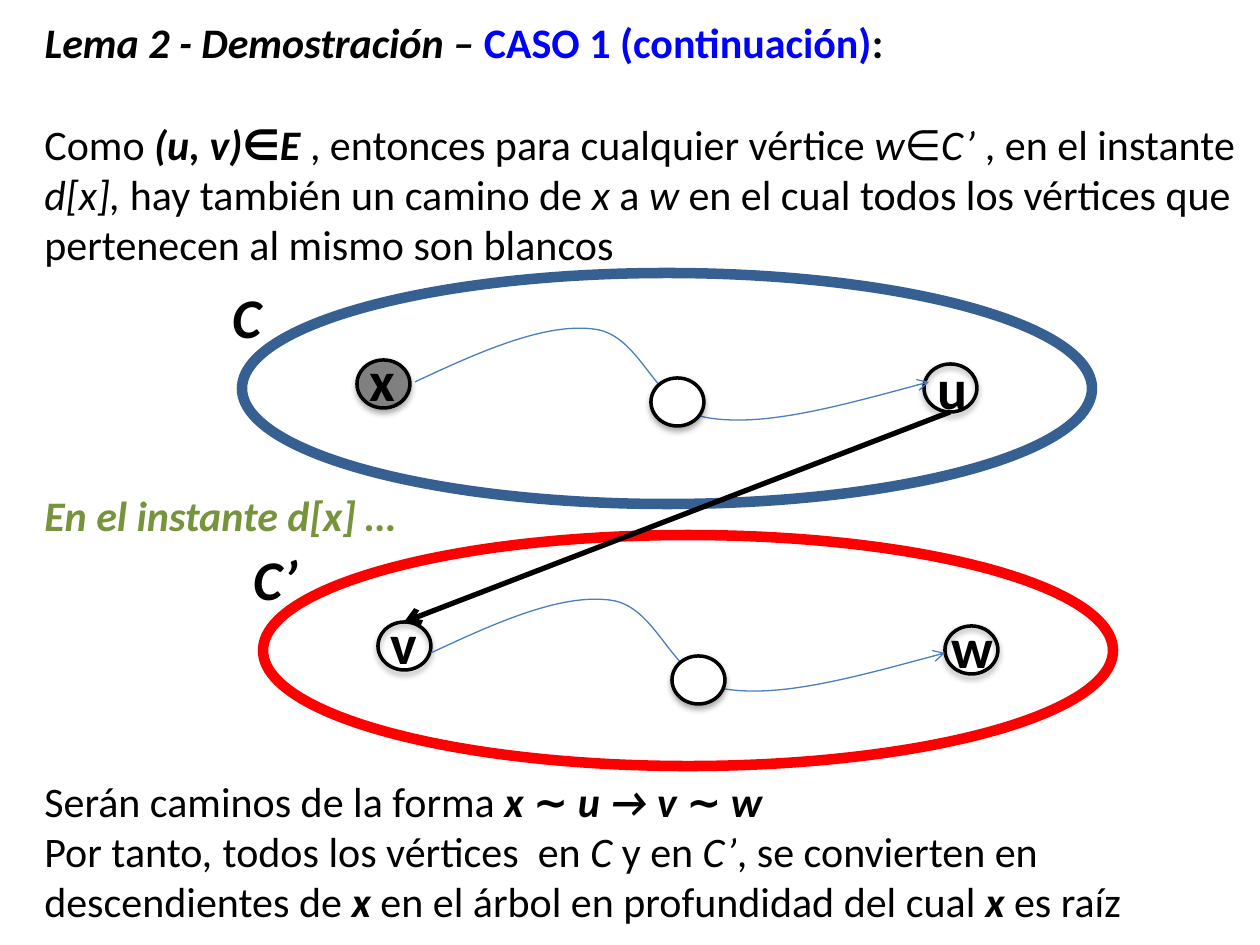
from lxml.etree import SubElement
from pptx import Presentation
from pptx.dml.color import RGBColor
from pptx.enum.shapes import MSO_CONNECTOR, MSO_SHAPE
from pptx.enum.text import MSO_ANCHOR, MSO_AUTO_SIZE, PP_ALIGN
from pptx.oxml.ns import qn
from pptx.util import Emu, Inches, Pt

SCALE = 914400 / 126
COLORS = {
    "black": "000000", "white": "FFFFFF", "gray": "808080", "case": "0000FF",
    "component": "376092", "successor": "FF0000", "moment": "77933C", "path": "4B7EBC",
}
NODE_SIZE = (53, 48)


def emu(pixels):
    """Turn pixels into EMU."""
    return Emu(round(pixels * SCALE))


def rgb(name):
    """Look up a palette colour."""
    return RGBColor.from_string(COLORS[name])


class SlideBuilder:
    """Holds the text style and the current slide."""

    font_name = "Calibri"

    def __init__(self, slide):
        self.slide = slide
        self.shapes = slide.shapes

    def fill_text(self, shape, paragraphs, size, auto_size):
        """Write paragraphs of (text, style letters, colour) runs."""
        frame = shape.text_frame
        settings = {"word_wrap": True, "auto_size": auto_size,
                    "vertical_anchor": MSO_ANCHOR.TOP}
        for name, value in settings.items():
            setattr(frame, name, value)
        for index, runs in enumerate(paragraphs):
            paragraph = frame.add_paragraph() if index else frame.paragraphs[0]
            paragraph.alignment = PP_ALIGN.LEFT
            for text, style, color in runs:
                run = paragraph.add_run()
                run.text = text
                font = {"name": self.font_name, "size": Pt(size),
                        "bold": "b" in style, "italic": "i" in style}
                for name, value in font.items():
                    setattr(run.font, name, value)
                run.font.color.rgb = rgb(color)

    def title(self, box, runs):
        """Place and fill the title placeholder."""
        shape = self.shapes.title
        for name, value in zip(("left", "top", "width", "height"), box):
            setattr(shape, name, emu(value))
        self.fill_text(shape, [runs], 24, MSO_AUTO_SIZE.NONE)

    def text(self, box, paragraphs, size=24):
        """Add a text box."""
        shape = self.shapes.add_textbox(*map(emu, box))
        self.fill_text(shape, paragraphs, size, MSO_AUTO_SIZE.SHAPE_TO_FIT_TEXT)

    def label(self, position, text, style="b"):
        """Add a large label."""
        self.text((*position, 102, 81), [[(text, style, "black")]], 32)

    def outline(self, shape, color, width, arrow=False):
        """Style a line, with an open arrowhead at its end if asked."""
        shape.line.color.rgb = rgb(color)
        shape.line.width = Pt(width)
        if arrow:
            line = shape._element.spPr.find(qn("a:ln"))
            SubElement(line, qn("a:tailEnd"), type="arrow")

    def ellipse(self, box, color, width, fill=None):
        """Add an ellipse without shadow."""
        shape = self.shapes.add_shape(MSO_SHAPE.OVAL, *map(emu, box))
        shape.shadow.inherit = False
        if fill:
            shape.fill.solid()
            shape.fill.fore_color.rgb = rgb(fill)
        else:
            shape.fill.background()
        self.outline(shape, color, width)
        return shape

    def node(self, position, fill=None):
        """Add a graph vertex with a soft shadow."""
        shape = self.ellipse((*position, *NODE_SIZE), "black", 2, fill)
        effects = shape._element.spPr.find(qn("a:effectLst"))
        shadow = SubElement(effects, qn("a:outerShdw"), blurRad=str(Pt(3.5)),
                            dist=str(Pt(2.2)), dir="5400000", rotWithShape="0")
        color = SubElement(shadow, qn("a:srgbClr"), val=COLORS["black"])
        SubElement(color, qn("a:alpha"), val="32000")

    def curve(self, start, segments):
        """Add an arrow made of cubic segments (control, control, end)."""
        ends = [segment[-1] for segment in segments]
        builder = self.shapes.build_freeform(*start, scale=SCALE)
        builder.add_line_segments(ends, close=False)
        shape = builder.convert_to_shape()
        left, top = (min(values) for values in zip(start, *ends))
        lines = list(shape._element.iter(qn("a:lnTo")))
        for line, segment in zip(lines, segments):
            line.tag = qn("a:cubicBezTo")
            line.remove(line[0])
            for x, y in segment:
                SubElement(line, qn("a:pt"), x=str(x - left), y=str(y - top))
        shape.shadow.inherit = False
        shape.fill.background()
        self.outline(shape, "path", 0.75, arrow=True)

    def arrow(self, start, end):
        """Add a thick straight arrow."""
        connector = self.shapes.add_connector(
            MSO_CONNECTOR.STRAIGHT, *map(emu, (*start, *end)))
        self.outline(connector, "black", 3, arrow=True)
        SubElement(connector._element.spPr, qn("a:effectLst"))


def plain(text):
    """Upright black run."""
    return text, "", "black"


def italic(text):
    """Italic black run."""
    return text, "i", "black"


def strong(text):
    """Bold italic black run."""
    return text, "bi", "black"


CURVE_START = (415, 382)
CURVE = [
    [(479, 352), (544, 323), (593, 329)],
    [(643, 334), (654, 410), (709, 418)],
    [(765, 427), (847, 404), (929, 382)],
]
# name, colour, offset, curve offset, middle node,
# then (label, label position, fill) of the first and last node
COMPONENTS = [
    ("C", "component", (0, 0), (0, 0), (651, 378),
     ("x", (357, 339), "gray"), ("u", (925, 347), None)),
    ("C’", "successor", (21, 262), (16, 271), (672, 656),
     ("v", (378, 602), None), ("w", (939, 606), None)),
]


def shift(point, offset):
    """Move a point by an offset."""
    return point[0] + offset[0], point[1] + offset[1]


def draw_component(builder, name, color, offset, curve_offset, middle, first, last):
    """Draw one component with its vertices and path."""
    builder.ellipse((*shift((242, 273), offset), 850, 231), color, 6)
    builder.label(shift((220, 276), offset), name, "bi")
    for position, (text, label_position, fill) in zip(((357, 360), (924, 364)), (first, last)):
        builder.node(shift(position, offset), fill)
        builder.label(label_position, text)
    builder.curve(shift(CURVE_START, curve_offset),
                  [[shift(point, curve_offset) for point in segment] for segment in CURVE])
    builder.node(middle, "white")


def main():
    """Build and save the slide."""
    presentation = Presentation()
    presentation.slide_width, presentation.slide_height = Inches(10), Inches(7.5)
    builder = SlideBuilder(presentation.slides.add_slide(presentation.slide_layouts[5]))

    builder.title((32, 10, 1218, 63), [
        strong("Lema 2 - Demostración – "), ("CASO 1 (continuación)", "b", "case"),
        (":", "b", "black")])
    builder.text((32, 112, 1218, 165), [[
        plain("Como "), strong("(u, v)∈E "), plain(", entonces para cualquier vértice "),
        italic("w∈C’ "), plain(", en el instante "), italic("d[x],"),
        plain(" hay también un camino de "), italic("x"), plain(" a "), italic("w"),
        plain(" en el cual todos los vértices que pertenecen al mismo son blancos")]])
    for component in COMPONENTS:
        draw_component(builder, *component)
    builder.arrow((950, 412), (404, 622))
    builder.text((32, 483, 725, 63), [[("En el instante d[x] …", "bi", "moment")]])
    builder.text((32, 769, 1197, 165), [
        [plain("Serán caminos de la forma "), strong("x ∼ u → v ∼ w")],
        [plain("Por tanto"), italic(", "), plain("todos los vértices  en "), italic("C "),
         plain("y en "), italic("C’"), plain(", se convierten en descendientes de "),
         strong("x"), plain(" en el árbol en profundidad del cual "), strong("x"),
         plain(" es raíz")]])
    presentation.save("out.pptx")


main()
